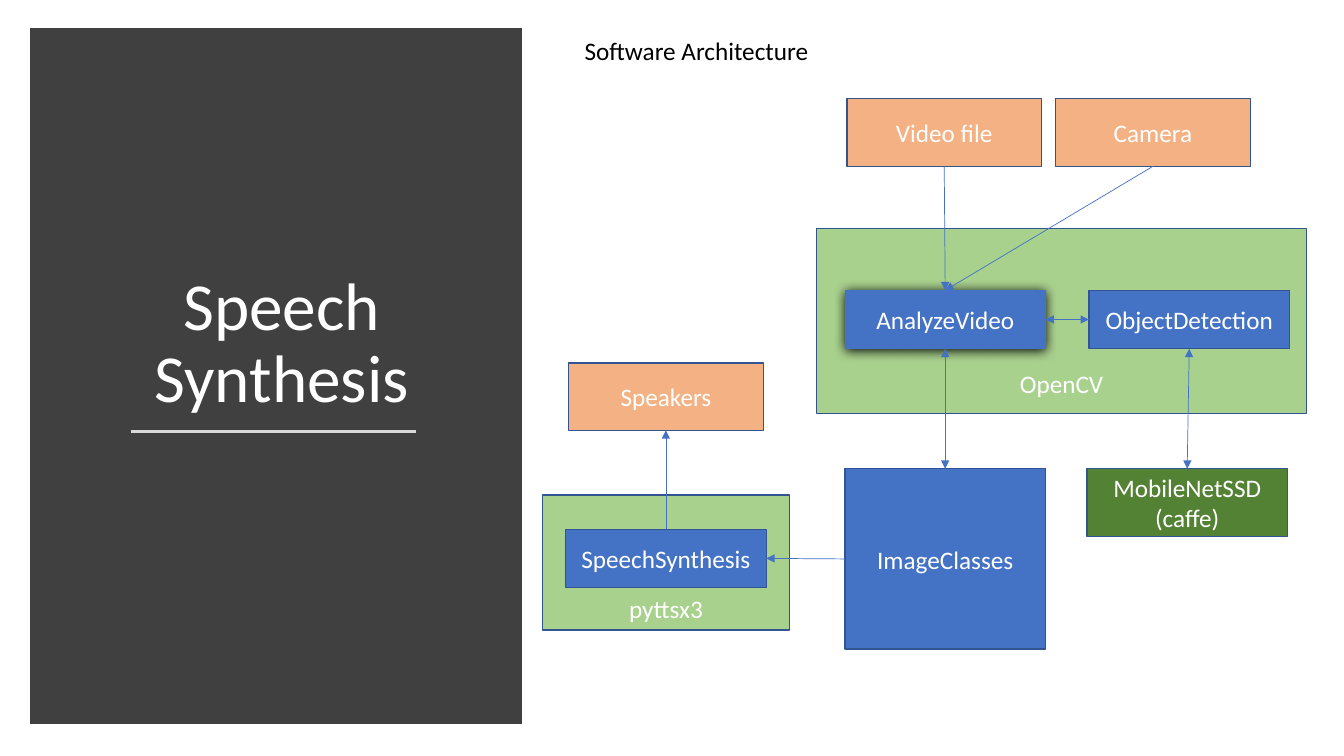
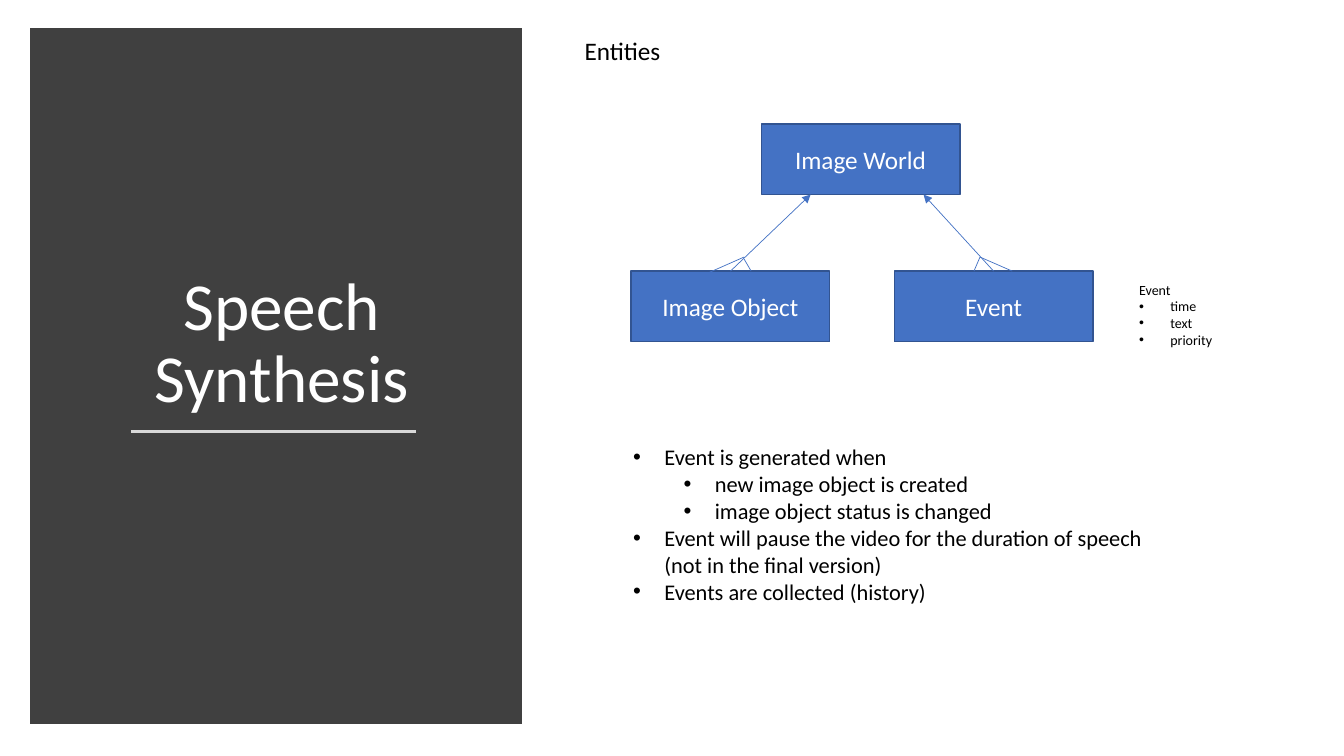
from dataclasses import dataclass
from typing import NamedTuple, Optional

from lxml.etree import SubElement
from pptx import Presentation
from pptx.dml.color import RGBColor
from pptx.enum.shapes import MSO_CONNECTOR as Link, MSO_SHAPE as Form
from pptx.enum.text import MSO_ANCHOR as Anchor, MSO_AUTO_SIZE as Fit, PP_ALIGN as Align
from pptx.oxml.ns import qn
from pptx.util import Inches, Pt

WHITE = RGBColor(0xFF, 0xFF, 0xFF)
BLACK = RGBColor(0x00, 0x00, 0x00)
DARK = RGBColor(0x40, 0x40, 0x40)
GREY = RGBColor(0xD9, 0xD9, 0xD9)
BLUE = RGBColor(0x44, 0x72, 0xC4)
EDGE = RGBColor(0x32, 0x54, 0x91)
PEACH = RGBColor(0xF4, 0xB1, 0x83)
LIME = RGBColor(0xA9, 0xD1, 0x8E)
GREEN = RGBColor(0x54, 0x82, 0x35)
FONT = "Calibri"

# Sides of a box where a connector can join
TOP, LEFT, BOTTOM, RIGHT = range(4)


class Size(NamedTuple):
    cols: float
    rows: float


MODULE = Size(19.9, 5.8)
DEVICE = Size(19.3, 6.7)
MODEL = Size(19.9, 6.7)
STORE = Size(19.9, 17.9)
ENTITY = Size(19.7, 7)


@dataclass
class Box:
    text: str
    col: float
    row: float
    size: Size
    fill: RGBColor = BLUE
    pad: Optional[float] = None  # label sits this far above the bottom
    glow: bool = False


@dataclass
class Arrow:
    start: str
    out: int
    end: str
    into: int
    both: bool = False


class Item(NamedTuple):
    text: str
    level: Optional[int] = 0  # None: no bullet


def grid(*cells: float) -> list:
    """Turn columns and rows, ten to the inch, into lengths."""
    return [Inches(cell / 10) for cell in cells]


def style(para, size: float, color: RGBColor) -> None:
    for run in para.runs:
        run.font.name = FONT
        run.font.size = Pt(size)
        run.font.color.rgb = color


def add_box(slide, box: Box):
    shape = slide.shapes.add_shape(
        Form.FLOWCHART_PROCESS, *grid(box.col, box.row, *box.size))
    shape.shadow.inherit = False
    shape.fill.solid()
    shape.fill.fore_color.rgb = box.fill
    if box.glow:
        shape.line.fill.background()
        effects = shape.element.spPr.find(qn("a:effectLst"))
        shade = SubElement(effects, qn("a:outerShdw"), blurRad=str(Pt(8.5)),
                           dist=str(Pt(1)), dir="5400000", rotWithShape="0")
        SubElement(shade, qn("a:srgbClr"), val=str(BLACK))
    else:
        shape.line.color.rgb = EDGE
        shape.line.width = Pt(1)
    frame = shape.text_frame
    frame.text = box.text
    frame.word_wrap = True
    frame.vertical_anchor = Anchor.MIDDLE
    if box.pad is not None:
        frame.vertical_anchor = Anchor.BOTTOM
        frame.margin_bottom = grid(box.pad)[0]
    frame.paragraphs[0].alignment = Align.CENTER
    style(frame.paragraphs[0], 18, WHITE)
    return shape


def add_line(slide, start: tuple, end: tuple, color: RGBColor = BLUE,
             width: float = 0.5, head: bool = False, tail: bool = False):
    line = slide.shapes.add_connector(Link.STRAIGHT, *grid(*start, *end))
    line.line.color.rgb = color
    line.line.width = Pt(width)
    props = line.element.spPr
    for tag, shown in (("a:headEnd", head), ("a:tailEnd", tail)):
        if shown:
            SubElement(props.find(qn("a:ln")), qn(tag), type="triangle")
    SubElement(props, qn("a:effectLst"))
    return line


def add_arrow(slide, shapes: dict, arrow: Arrow) -> None:
    line = add_line(slide, (0, 0), (0, 0), head=arrow.both, tail=True)
    line.begin_connect(shapes[arrow.start], arrow.out)
    line.end_connect(shapes[arrow.end], arrow.into)


def add_text(slide, text: str, *cells: float):
    frame = slide.shapes.add_textbox(*grid(*cells)).text_frame
    frame.word_wrap = False
    frame.text = text
    style(frame.paragraphs[0], 18, BLACK)
    return frame


def fill_list(frame, items: list, size: float) -> None:
    frame.text = "\n".join(item.text for item in items)
    for para, item in zip(frame.paragraphs, items):
        para.space_before = Pt(0)
        para.line_spacing = 1.0
        style(para, size, BLACK)
        if item.level is None:
            continue
        para.level = item.level
        props = para._p.get_or_add_pPr()
        props.set("marL", str(Inches(0.31 + 0.5 * item.level)))
        props.set("indent", str(Inches(-0.31)))
        SubElement(props, qn("a:buFont"), typeface="Arial")
        SubElement(props, qn("a:buChar"), char="•")


def place(holder, *cells: float) -> None:
    holder.left, holder.top, holder.width, holder.height = grid(*cells)
    holder.text_frame.word_wrap = True
    holder.text_frame.auto_size = Fit.NONE


def add_slide(deck, layout: int, heading: str, width: float):
    """Start a slide with the dark title panel, its rule and a heading."""
    slide = deck.slides.add_slide(deck.slide_layouts[layout])
    panel = slide.shapes.add_shape(Form.RECTANGLE, *grid(3.7, 3.5, 47.4, 67.6))
    panel.shadow.inherit = False
    panel.fill.solid()
    panel.fill.fore_color.rgb = DARK
    panel.line.color.rgb = DARK
    panel.line.width = Pt(10)
    SubElement(panel.element.spPr.find(qn("a:ln")), qn("a:miter"), lim="800000")
    rule = add_line(slide, (13, 42.8), (41.3, 42.8), GREY, 1.75)
    # Send panel and rule behind the title
    for spot, shape in enumerate((panel, rule), 2):
        slide.shapes.element.insert(spot, shape.element)

    title = slide.shapes.title
    place(title, 5.5, 10, 44.9, 31.9)
    title.text_frame.text = "Speech Synthesis"
    title.text_frame.vertical_anchor = Anchor.BOTTOM
    para = title.text_frame.paragraphs[0]
    para.alignment = Align.CENTER
    para.line_spacing = 0.9
    para.space_after = Pt(6)
    style(para, 48, WHITE)
    add_text(slide, heading, 57, 3, width, 4)
    return slide


# Software architecture: libraries first, their modules on top
PARTS = [
    Box("OpenCV", 81, 22.7, Size(48.6, 18.3), LIME, pad=1.5),
    Box("pyttsx3", 53.8, 49.1, Size(24.5, 13.4), LIME, pad=0.6),
    Box("AnalyzeVideo", 83.8, 28.8, MODULE, glow=True),
    Box("ObjectDetection", 108, 28.8, MODULE),
    Box("SpeechSynthesis", 56.1, 52.5, MODULE),
    Box("ImageClasses", 83.8, 46.5, STORE),
    Box("MobileNetSSD (caffe)", 107.8, 46.5, MODEL, GREEN),
    Box("Video file", 84, 9.8, DEVICE, PEACH),
    Box("Camera", 104.7, 9.8, DEVICE, PEACH),
    Box("Speakers", 56.4, 36, DEVICE, PEACH),
]
FLOWS = [
    Arrow("Camera", BOTTOM, "AnalyzeVideo", TOP),
    Arrow("Video file", BOTTOM, "AnalyzeVideo", TOP),
    Arrow("ObjectDetection", BOTTOM, "MobileNetSSD (caffe)", TOP, True),
    Arrow("AnalyzeVideo", RIGHT, "ObjectDetection", LEFT, True),
    Arrow("AnalyzeVideo", BOTTOM, "ImageClasses", TOP, True),
    Arrow("ImageClasses", LEFT, "SpeechSynthesis", RIGHT),
    Arrow("SpeechSynthesis", TOP, "Speakers", BOTTOM),
]

# Entities: two children point at the world, each with a crow's foot
WORLD = Box("Image World", 75.5, 12.3, ENTITY)
KIDS = [
    (Box("Image Object", 62.6, 26.9, ENTITY), (80.4, 19.3),
     [((73.8, 25.7), (74.5, 26.9)), ((73.8, 25.5), (69.5, 27.4))]),
    (Box("Event", 88.7, 26.9, ENTITY), (91.6, 19.3),
     [((97.2, 25.5), (96.6, 26.9)), ((97.2, 25.5), (100.4, 26.9))]),
]
FIELDS = [Item("Event", None), Item("time"), Item("text"), Item("priority")]
NOTES = [
    Item("Event is generated when"),
    Item("new image object is created", 1),
    Item("image object status is changed", 1),
    Item("Event will pause the video for the duration of speech "
         "(not in the final version)"),
    Item("Events are collected (history)"),
]


def draw_parts(deck) -> None:
    slide = add_slide(deck, 5, "Software Architecture", 24.5)
    shapes = {part.text: add_box(slide, part) for part in PARTS}
    for flow in FLOWS:
        add_arrow(slide, shapes, flow)


def draw_kinds(deck) -> None:
    slide = add_slide(deck, 1, "Entities", 9.6)
    add_box(slide, WORLD)
    for kid, tip, toes in KIDS:
        shape = add_box(slide, kid)
        line = add_line(slide, (kid.col, kid.row), tip, tail=True)
        line.begin_connect(shape, TOP)
        for start, end in toes:
            add_line(slide, start, end)
    fill_list(add_text(slide, "", 112, 27.4, 9.4, 7.7), FIELDS, 10)
    body = slide.placeholders[1]
    place(body, 61.8, 43.5, 54.8, 17.2)
    fill_list(body.text_frame, NOTES, 16)


def main() -> None:
    deck = Presentation()
    deck.slide_width, deck.slide_height = Inches(13.33), Inches(7.5)
    draw_parts(deck)
    draw_kinds(deck)
    deck.save("out.pptx")


if __name__ == "__main__":
    main()
